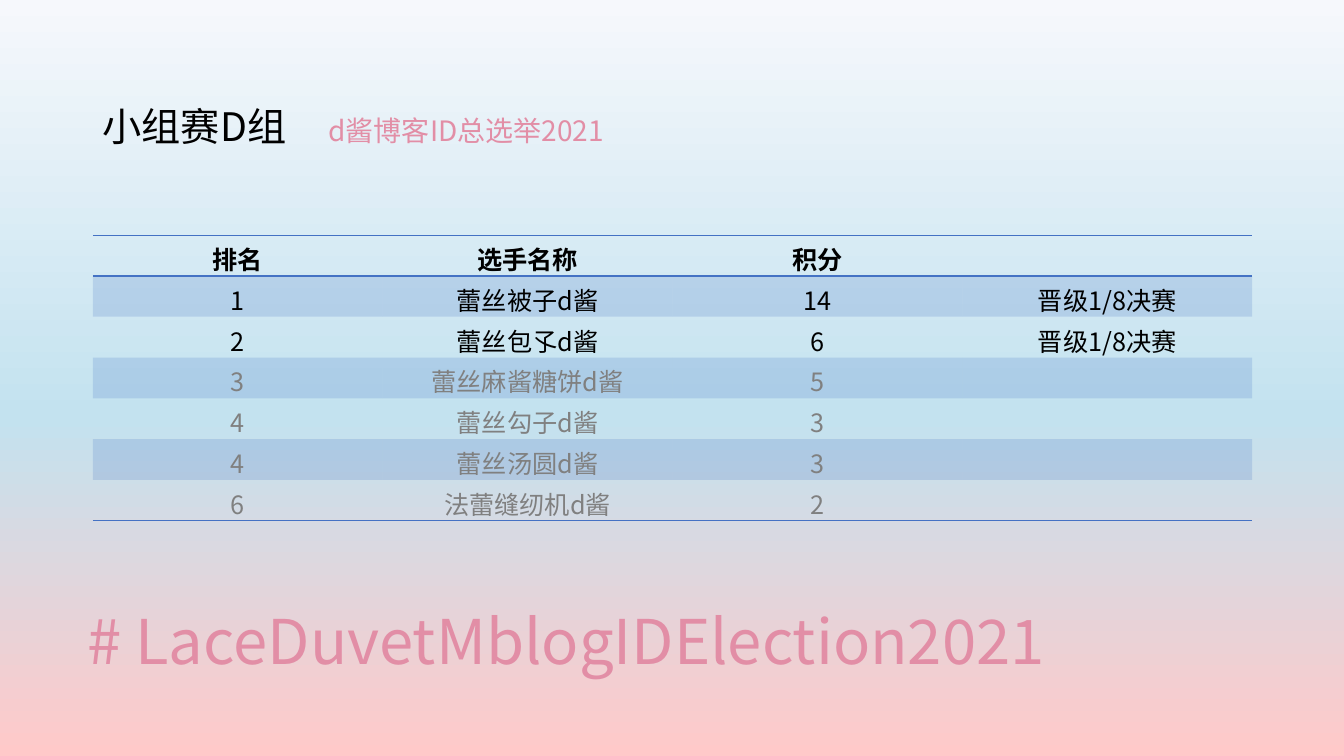
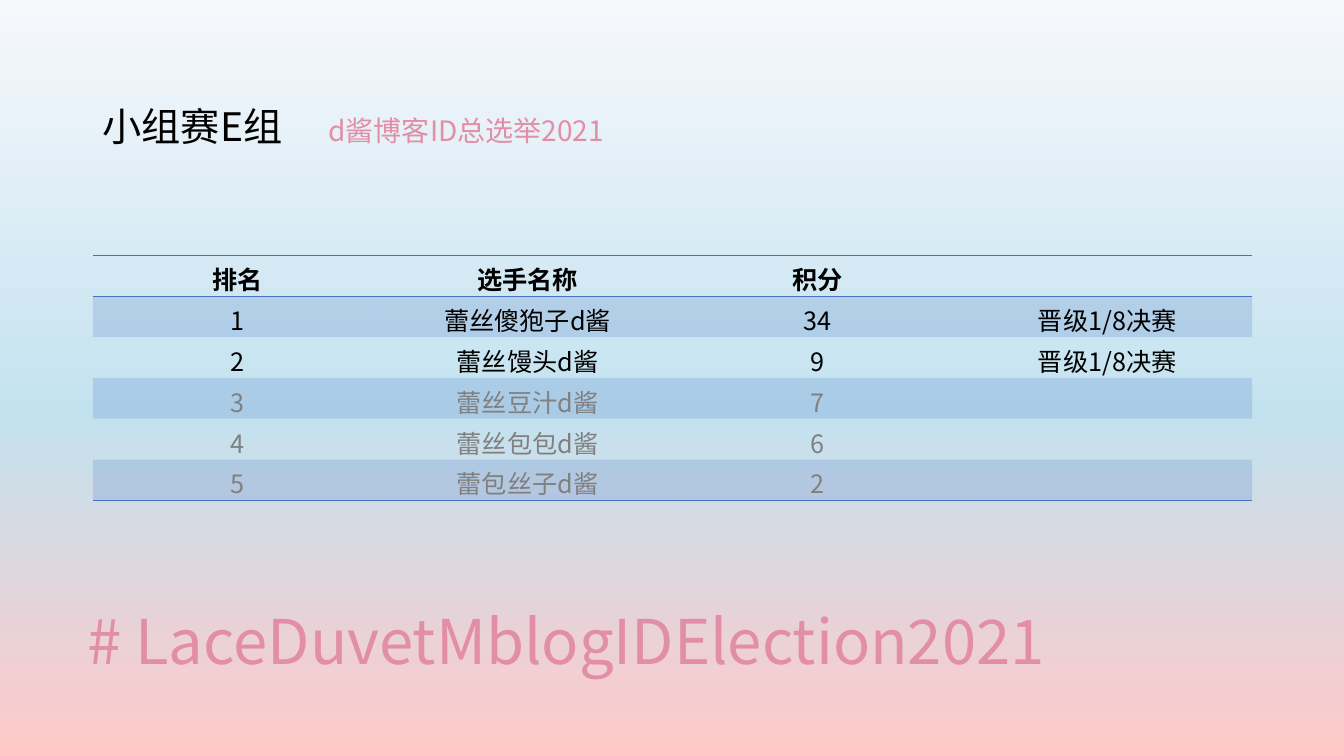
from copy import deepcopy
from lxml.etree import SubElement
from pptx import Presentation
from pptx.dml.color import RGBColor
from pptx.enum.text import MSO_ANCHOR, PP_ALIGN
from pptx.oxml import parse_xml
from pptx.oxml.ns import nsdecls, qn
from pptx.util import Inches, Pt

FONT = "Noto Sans CJK SC"
PINK, BLUE, BLACK, GREY = "E28EA6", "4472C4", "000000", "808080"
SKY = [(0, "F6F8FC"), (0.55, "C3E2EF"), (1, "FFC9C9")]
PLAIN = "{2D5ABB26-0587-4C30-8999-92F81FD0307C}"
LEFT, WIDE, MID, ROW = 0.92, 11.5, 3.75, 0.405
HEAD = ["排名", "选手名称", "积分", ""]
NEXT = "晋级1/8决赛"
GROUPS = {
    "D": [(1, "蕾丝被子d酱", 14), (2, "蕾丝包孓d酱", 6), (3, "蕾丝麻酱糖饼d酱", 5),
          (4, "蕾丝勾子d酱", 3), (4, "蕾丝汤圆d酱", 3), (6, "法蕾缝纫机d酱", 2)],
    "E": [(1, "蕾丝傻狍子d酱", 34), (2, "蕾丝馒头d酱", 9), (3, "蕾丝豆汁d酱", 7),
          (4, "蕾丝包包d酱", 6), (5, "蕾包丝子d酱", 2)],
}


def hue(code):
    """Turn a hex string into a colour."""
    return RGBColor.from_string(code)


def write(para, text, size, code, bold=False):
    """Add one styled run to a paragraph."""
    run = para.add_run()
    run.text = text
    run.font.size, run.font.bold = Pt(size), bold
    run.font.color.rgb = hue(code)
    run.font.name = FONT
    SubElement(run._r.get_or_add_rPr(), qn("a:ea"), typeface=FONT)


deck = Presentation()
deck.slide_width, deck.slide_height = Inches(13.33), Inches(7.5)

# Shared gradient, set once on the master
master = deck.slide_master
fill = master.background.fill
fill.gradient()
fill.gradient_angle = 270
first = master.element.xpath(".//p:bg//a:gs")[0]
first.addnext(deepcopy(first))
for stop, (place, code) in zip(fill.gradient_stops, SKY):
    stop.position = place
    stop.color.rgb = hue(code)

for group, players in GROUPS.items():
    slide = deck.slides.add_slide(deck.slide_layouts[6])

    # Hashtag at the foot
    tag = slide.shapes.add_textbox(
        Inches(0.77), Inches(5.67), Inches(WIDE), Inches(1.45)).text_frame
    tag.word_wrap = True
    tag.vertical_anchor = MSO_ANCHOR.MIDDLE
    tag.paragraphs[0].line_spacing = 0.9
    write(tag.paragraphs[0], "# LaceDuvetMblogIDElection2021", 44, PINK)

    # Group name, with the event name at a tab stop
    title = slide.shapes.add_textbox(
        Inches(LEFT), Inches(1.02), Inches(WIDE), Inches(0.54)).text_frame
    title.word_wrap = True
    para = title.paragraphs[0]
    para.line_spacing, para.space_before = 0.9, Pt(10)
    tabs = SubElement(para._p.get_or_add_pPr(), qn("a:tabLst"))
    SubElement(tabs, qn("a:tab"), pos=str(Inches(2.24)), algn="l")
    write(para, f"小组赛{group}组\t", 28, BLACK)
    write(para, "d酱博客ID总选举2021", 20, PINK)

    # Standings, centred on the slide's height
    rows = [HEAD] + [(*player, NEXT if spot < 2 else "")
                     for spot, player in enumerate(players)]
    tall = ROW * len(rows)
    frame = slide.shapes.add_table(
        len(rows), len(HEAD), Inches(LEFT), Inches(MID - tall / 2),
        Inches(WIDE), Inches(tall))
    frame.element.xpath(".//a:tableStyleId")[0].text = PLAIN
    table = frame.table
    table.first_row = table.horz_banding = False
    for r, row in enumerate(rows):
        edges = {0: ["lnB", "lnT"], len(rows) - 1: ["lnB"]}.get(r, [])
        for c, value in enumerate(row):
            cell = table.cell(r, c)
            para = cell.text_frame.paragraphs[0]
            para.alignment = PP_ALIGN.CENTER
            if value:
                write(para, str(value), 18, GREY if r > 2 else BLACK, r == 0)
            props = cell._tc.get_or_add_tcPr()
            if r % 2:
                cell.fill.solid()
                cell.fill.fore_color.rgb = hue(BLUE)
                SubElement(props.find(".//" + qn("a:srgbClr")),
                           qn("a:alpha"), val="20000")
            else:
                cell.fill.background()
            for edge in edges:
                props.insert(0, parse_xml(
                    f'<a:{edge} {nsdecls("a")} w="12700"><a:solidFill>'
                    f'<a:srgbClr val="{BLUE}"/></a:solidFill></a:{edge}>'))

deck.save("out.pptx")
